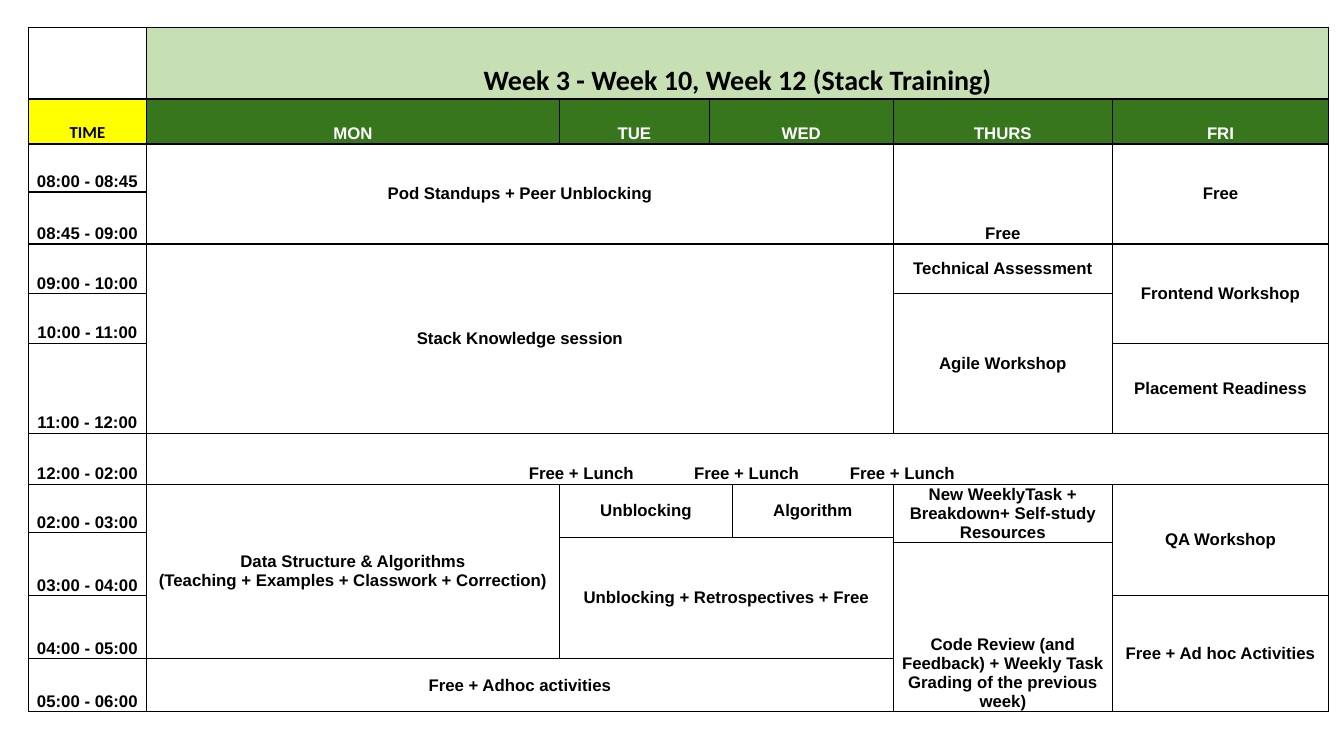
"""Build the weekly stack training timetable slide."""
import pptx
import pptx.dml.color
import pptx.enum.text
import pptx.oxml
import pptx.oxml.ns
import pptx.util
from dataclasses import dataclass

Pt = pptx.util.Pt
Anchor = pptx.enum.text.MSO_ANCHOR
Align = pptx.enum.text.PP_ALIGN


@dataclass(frozen=True)
class Theme:
    """Colours, fonts and sizes of the timetable."""
    ink: str = "000000"
    paper: str = "FFFFFF"
    banner: str = "C6E0B4"
    header: str = "38761D"
    time: str = "FFFF00"
    body_font: str = "Arial"
    heading_font: str = "Calibri"
    body_size: float = 12
    banner_size: float = 20
    border: float = 1


THEME = Theme()
SLIDE_SIZE = (960, 540)
TABLE_ORIGIN = (20.2, 19.4)
COLUMN_WIDTHS = [84.5, 295, 107, 16.5, 115, 156.5, 154.5]
ROW_HEIGHTS = [51.4, 32.1, 34.3, 37.1, 35.6, 35.4, 64.3, 36.4, 34.6, 3.2, 3.6, 37.9, 45, 37.9]
LUNCH_TABS = [269.5, 387.5, 498.8]

BANNER = "Week 3 - Week 10, Week 12 (Stack Training)"
DAYS = [(1, 1, "MON"), (2, 1, "TUE"), (3, 2, "WED"), (5, 1, "THURS"), (6, 1, "FRI")]
TIMES = [
    (2, 1, "08:00 - 08:45"), (3, 1, "08:45 - 09:00"), (4, 1, "09:00 - 10:00"),
    (5, 1, "10:00 - 11:00"), (6, 1, "11:00 - 12:00"), (7, 1, "12:00 - 02:00"),
    (8, 1, "02:00 - 03:00"), (9, 3, "03:00 - 04:00"), (12, 1, "04:00 - 05:00"),
    (13, 1, "05:00 - 06:00"),
]
LUNCH = ["Free + Lunch"] * 3
MIDDLE_SESSIONS = [
    (2, 1, 2, 4, "Pod Standups + Peer Unblocking"),
    (2, 6, 2, 1, "Free"),
    (4, 1, 3, 4, "Stack Knowledge session"),
    (4, 5, 1, 1, "Technical Assessment"),
    (4, 6, 2, 1, "Frontend Workshop"),
    (5, 5, 2, 1, "Agile Workshop"),
    (6, 6, 1, 1, "Placement Readiness"),
    (8, 1, 5, 1, "Data Structure & Algorithms\n(Teaching + Examples + Classwork + Correction)"),
    (8, 2, 2, 2, "Unblocking"),
    (8, 4, 2, 1, "Algorithm"),
    (8, 6, 4, 1, "QA Workshop"),
    (10, 2, 3, 3, "Unblocking + Retrospectives + Free"),
    (12, 6, 2, 1, "Free + Ad hoc Activities"),
    (13, 1, 1, 4, "Free + Adhoc activities"),
]
BOTTOM_SESSIONS = [
    (2, 5, 2, 1, "Free"),
    (8, 5, 3, 1, "New WeeklyTask + Breakdown+ Self-study Resources"),
    (11, 5, 3, 1, "Code Review (and Feedback) + Weekly Task Grading of the previous week)"),
]


def color(value):
    return pptx.dml.color.RGBColor.from_string(value)


def style_cell(cell, fill):
    """Give a cell its margins, borders and fill."""
    cell.margin_left = cell.margin_right = Pt(3.6)
    cell.margin_top = cell.margin_bottom = Pt(0.7)
    properties = cell._tc.get_or_add_tcPr()
    for side in ("lnL", "lnR", "lnT", "lnB"):
        properties.append(pptx.oxml.parse_xml(
            f'<a:{side} {pptx.oxml.ns.nsdecls("a")} w="{Pt(THEME.border)}">'
            f'<a:solidFill><a:srgbClr val="{THEME.ink}"/></a:solidFill></a:{side}>'))
    cell.fill.solid()
    cell.fill.fore_color.rgb = color(fill)


def place(table, row, column, rows, columns, text, anchor=Anchor.BOTTOM, fill=THEME.paper,
          ink=THEME.ink, font=THEME.body_font, size=THEME.body_size):
    """Merge a block of cells, write its text and return the paragraph."""
    cell = table.cell(row, column)
    if rows * columns > 1:
        cell.merge(table.cell(row + rows - 1, column + columns - 1))
    for r in range(row, row + rows):
        for c in range(column, column + columns):
            style_cell(table.cell(r, c), fill)
    cell.vertical_anchor = anchor
    paragraph = cell.text_frame.paragraphs[0]
    paragraph.text = text
    paragraph.alignment = Align.CENTER
    paragraph.font.name, paragraph.font.size = font, Pt(size)
    paragraph.font.bold = True
    paragraph.font.color.rgb = color(ink)
    return paragraph


def place_lunch(table):
    """Write the lunch row with its labels on tab stops."""
    paragraph = place(table, 7, 1, 1, 6, "".join("\t" + label for label in LUNCH))
    paragraph.alignment = Align.LEFT
    stops = "".join(f'<a:tab pos="{Pt(stop)}" algn="l"/>' for stop in LUNCH_TABS)
    paragraph._p.get_or_add_pPr().insert(0, pptx.oxml.parse_xml(
        f'<a:tabLst {pptx.oxml.ns.nsdecls("a")}>{stops}</a:tabLst>'))


def main():
    presentation = pptx.Presentation()
    presentation.slide_width, presentation.slide_height = map(Pt, SLIDE_SIZE)
    slide = presentation.slides.add_slide(presentation.slide_layouts[6])
    table = slide.shapes.add_table(
        len(ROW_HEIGHTS), len(COLUMN_WIDTHS), *map(Pt, TABLE_ORIGIN),
        Pt(sum(COLUMN_WIDTHS)), Pt(sum(ROW_HEIGHTS))).table
    table.first_row = table.horz_banding = False
    for column, width in zip(table.columns, COLUMN_WIDTHS):
        column.width = Pt(width)
    for row, height in zip(table.rows, ROW_HEIGHTS):
        row.height = Pt(height)

    style_cell(table.cell(0, 0), THEME.paper)
    place(table, 0, 1, 1, 6, BANNER, fill=THEME.banner,
          font=THEME.heading_font, size=THEME.banner_size)
    place(table, 1, 0, 1, 1, "TIME", fill=THEME.time, font=THEME.heading_font)
    for column, columns, day in DAYS:
        place(table, 1, column, 1, columns, day, fill=THEME.header, ink=THEME.paper)
    for row, rows, time in TIMES:
        place(table, row, 0, rows, 1, time)
    for session in MIDDLE_SESSIONS:
        place(table, *session, anchor=Anchor.MIDDLE)
    for session in BOTTOM_SESSIONS:
        place(table, *session)
    place_lunch(table)
    presentation.save("out.pptx")


if __name__ == "__main__":
    main()
